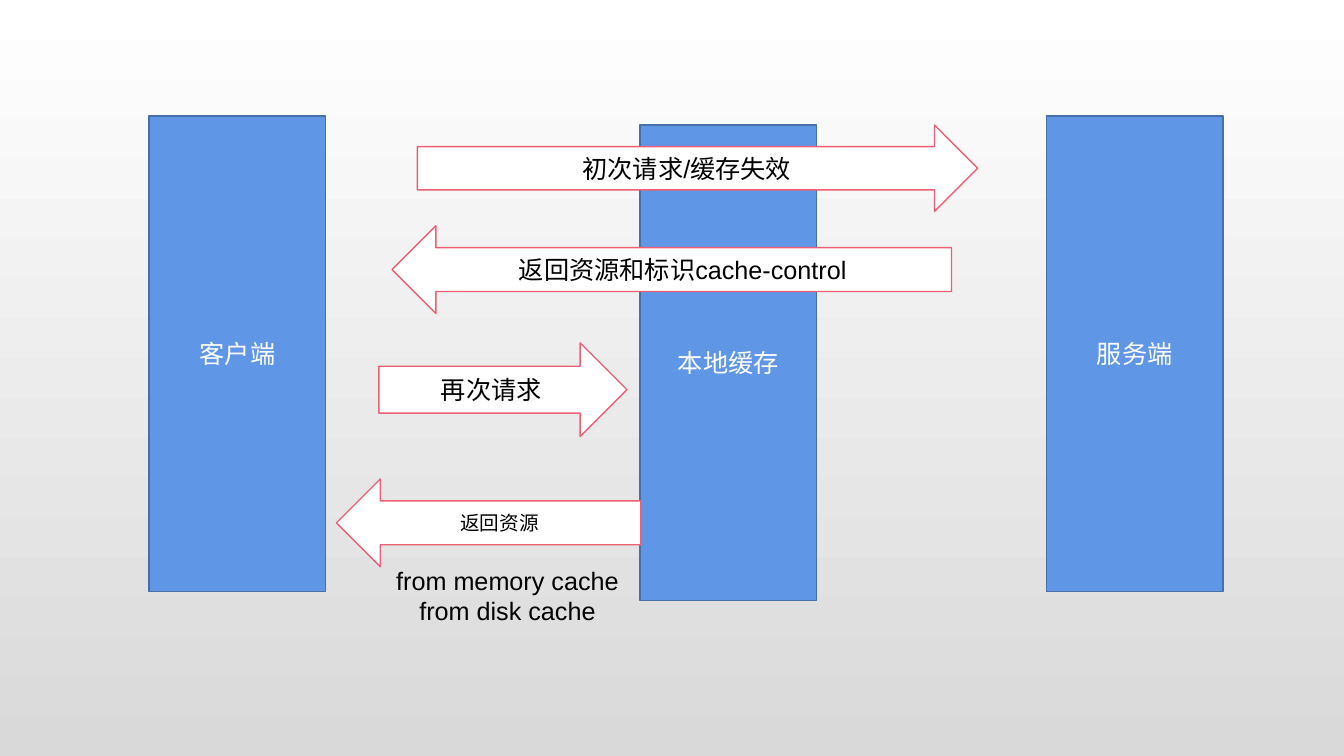
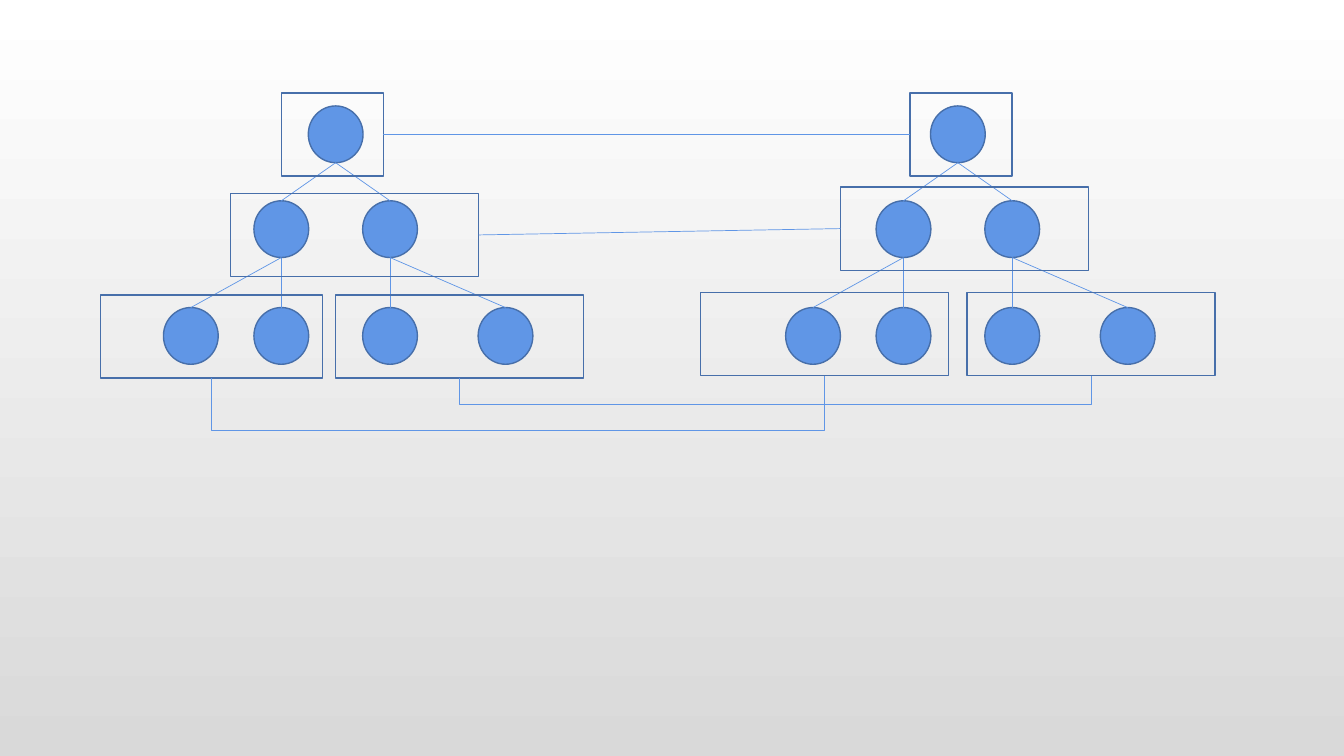
from lxml import etree
from pptx import Presentation
from pptx.dml.color import RGBColor
from pptx.enum.shapes import MSO_CONNECTOR, MSO_SHAPE
from pptx.enum.text import MSO_ANCHOR, MSO_AUTO_SIZE, PP_ALIGN
from pptx.oxml.ns import qn
from pptx.util import Cm, Pt

RECTANGLE, ELLIPSE = MSO_SHAPE.RECTANGLE, MSO_SHAPE.OVAL
PROCESS = MSO_SHAPE.FLOWCHART_PROCESS
RIGHT_ARROW, LEFT_ARROW = MSO_SHAPE.RIGHT_ARROW, MSO_SHAPE.LEFT_ARROW
STRAIGHT, ELBOW = MSO_CONNECTOR.STRAIGHT, MSO_CONNECTOR.ELBOW
CENTER, MIDDLE = PP_ALIGN.CENTER, MSO_ANCHOR.MIDDLE
GROW = MSO_AUTO_SIZE.SHAPE_TO_FIT_TEXT

BLUE, NAVY, RED = "6096E6", "476FAA", "EC5F74"
WHITE, GRAY, BLACK = "FFFFFF", "D9D9D9", "000000"
FONT = "Arial"
LEFT_SIDE, BOTTOM_SIDE, RIGHT_SIDE = 1, 2, 3

NODE_WIDTH, NODE_HEIGHT = 1.38, 1.43
NODE_OFFSETS = [(0, 0), (-1.37, 2.39), (1.37, 2.39),
                (-3.65, 5.08), (-1.37, 5.08), (1.37, 5.08), (4.28, 5.08)]
FRAME_HEIGHT = 2.1


def color(value):
    """Turn a hex string into a colour."""
    return RGBColor.from_string(value)


def set_background(master):
    """Give every slide the vertical white-to-gray gradient."""
    fill = master.background.fill
    fill.gradient()
    fill.gradient_angle = 270
    for stop, value in zip(fill.gradient_stops, (WHITE, GRAY)):
        stop.color.rgb = color(value)


def write_text(shape, text, size, value):
    """Write one centred paragraph into a shape."""
    shape.text_frame.word_wrap = True
    paragraph = shape.text_frame.paragraphs[0]
    paragraph.text = text
    paragraph.alignment = CENTER
    paragraph.font.name = FONT
    paragraph.font.size = Pt(size)
    paragraph.font.color.rgb = color(value)


def add_shape(shapes, kind, box, fill=None, line=NAVY):
    """Add a flat outlined shape at a box given in centimetres."""
    shape = shapes.add_shape(kind, *map(Cm, box))
    shape.shadow.inherit = False
    if fill:
        shape.fill.solid()
        shape.fill.fore_color.rgb = color(fill)
    else:
        shape.fill.background()
    shape.line.color.rgb = color(line)
    shape.line.width = Pt(1)
    return shape


def add_line(shapes, kind, begin, end):
    """Add a thin blue connector between two points."""
    connector = shapes.add_connector(kind, *begin, *end)
    connector.line.color.rgb = color(BLUE)
    connector.line.width = Pt(0.5)
    etree.SubElement(connector._element.spPr, qn("a:effectLst"))
    return connector


def add_column(slide, left, top, label):
    """Add one tall participant column."""
    column = add_shape(slide.shapes, RECTANGLE, (left, top, 4.45, 11.99), BLUE)
    column.text_frame.vertical_anchor = MIDDLE
    write_text(column, label, 18, WHITE)


def add_message(slide, kind, box, label, size=18):
    """Add one block arrow carrying a message."""
    arrow = add_shape(slide.shapes, kind, box, WHITE, RED)
    arrow.text_frame.vertical_anchor = MIDDLE
    write_text(arrow, label, size, BLACK)


def build_cache_slide(slide):
    """Draw the requests between client, local cache and server."""
    add_column(slide, 3.76, 2.92, "客户端")
    add_column(slide, 26.37, 2.92, "服务端")
    add_column(slide, 16.13, 3.15, "本地缓存")
    add_message(slide, RIGHT_ARROW, (10.52, 3.15, 14.12, 2.18), "初次请求/缓存失效")
    add_message(slide, LEFT_ARROW, (9.88, 5.69, 14.1, 2.21), "返回资源和标识cache-control")
    add_message(slide, RIGHT_ARROW, (9.55, 8.64, 6.25, 2.36), "再次请求")
    add_message(slide, LEFT_ARROW, (8.48, 12.07, 7.67, 2.21), "返回资源", 14)
    sources = slide.shapes.add_textbox(Cm(9.55), Cm(14.12), Cm(6.48), Cm(1.8))
    write_text(sources, "from memory cache\nfrom disk cache", 18, BLACK)
    sources.text_frame.auto_size = GROW


def bottom_center(shape):
    """Return the middle of a shape's lower edge."""
    return shape.left + shape.width // 2, shape.top + shape.height


def add_tree(slide, center, top, frame_offsets):
    """Draw a binary tree and return the frames around its sibling nodes."""
    shapes = slide.shapes.add_group_shape().shapes
    nodes = [add_shape(shapes, ELLIPSE, (center + x - NODE_WIDTH / 2, top + y,
                                         NODE_WIDTH, NODE_HEIGHT), BLUE)
             for x, y in NODE_OFFSETS]
    for index, child in enumerate(nodes[1:]):
        parent = nodes[index // 2]
        child_top = child.left + child.width // 2, child.top
        add_line(shapes, STRAIGHT, bottom_center(parent), child_top)
    return [add_shape(slide.shapes, PROCESS, (center + x, top + y, width, FRAME_HEIGHT))
            for x, y, width in frame_offsets]


def link_sides(slide, left_frame, right_frame):
    """Join two facing frames with a straight line."""
    connector = add_line(slide.shapes, STRAIGHT, (0, 0), (0, 0))
    connector.begin_connect(left_frame, RIGHT_SIDE)
    connector.end_connect(right_frame, LEFT_SIDE)


def link_below(slide, left_frame, right_frame, rail):
    """Join two frames from below with a bracket that runs along a rail."""
    (begin_x, begin_y), (end_x, end_y) = map(bottom_center, (left_frame, right_frame))
    middle_x, middle_y = (begin_x + end_x) // 2, (begin_y + end_y) // 2
    span, rise = end_x - begin_x, begin_y - end_y
    connector = add_line(slide.shapes, ELBOW,
                         (middle_x + rise // 2, middle_y + span // 2),
                         (middle_x - rise // 2, middle_y - span // 2))
    properties = connector._element.spPr
    properties.find(qn("a:xfrm")).set("rot", "5400000")
    adjustment = round(-100000 * (Cm(rail) - begin_y) / rise)
    adjustments = properties.find(qn("a:prstGeom")).find(qn("a:avLst"))
    etree.SubElement(adjustments, qn("a:gd"), name="adj1", fmla=f"val {adjustment}")


def build_tree_slide(slide):
    """Draw two trees compared level by level."""
    left_frames = add_tree(slide, 8.46, 2.67, [
        (-1.37, -0.33, 2.57), (-2.65, 2.2, 6.25), (-5.92, 4.76, 5.59), (0, 4.76, 6.25)])
    right_frames = add_tree(slide, 24.14, 2.67, [
        (-1.21, -0.33, 2.57), (-2.96, 2.04, 6.25), (-6.49, 4.7, 6.25), (0.23, 4.7, 6.25)])
    pairs = list(zip(left_frames, right_frames))
    for left_frame, right_frame in pairs[:2]:
        link_sides(slide, left_frame, right_frame)
    for (left_frame, right_frame), rail in zip(pairs[2:], (10.85, 10.19)):
        link_below(slide, left_frame, right_frame, rail)


def main():
    """Build and save the presentation."""
    presentation = Presentation()
    presentation.slide_width, presentation.slide_height = Cm(33.87), Cm(19.05)
    set_background(presentation.slide_master)
    blank = presentation.slide_layouts[6]
    for build in (build_cache_slide, build_tree_slide):
        build(presentation.slides.add_slide(blank))
    presentation.save("out.pptx")


main()
